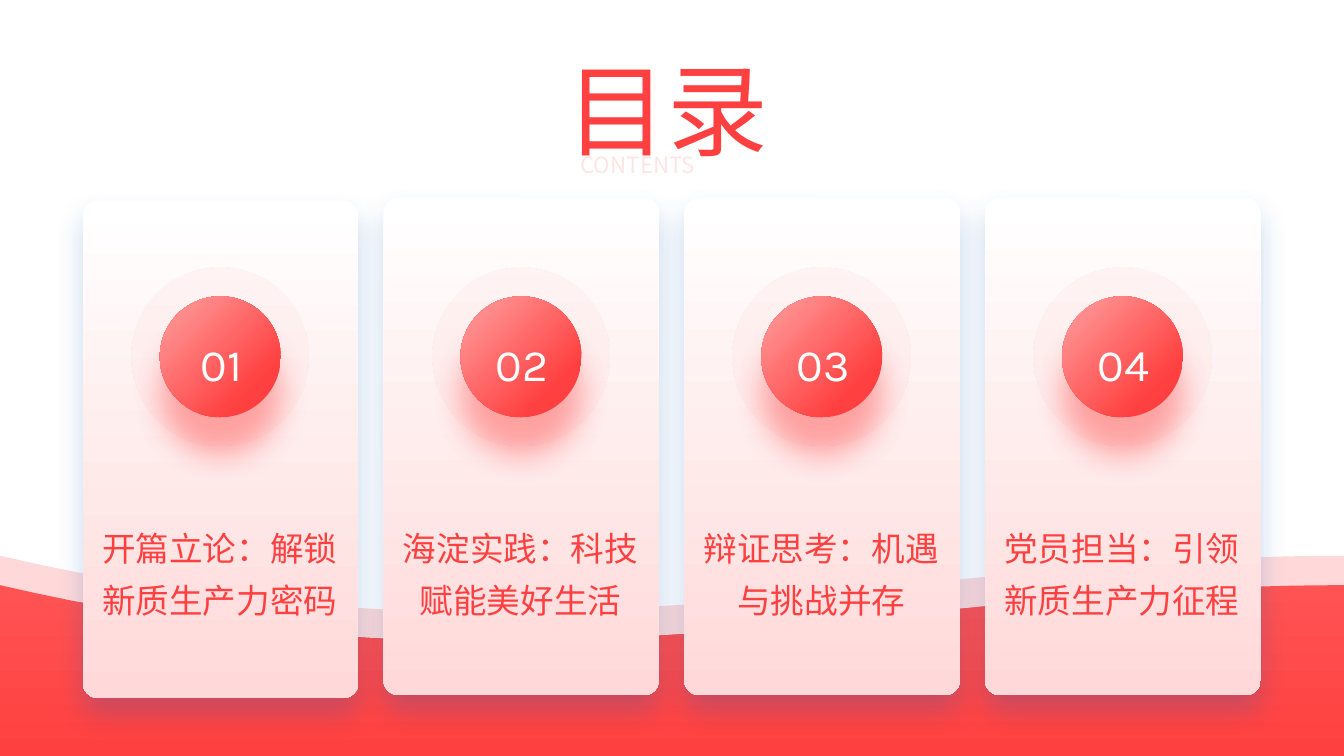
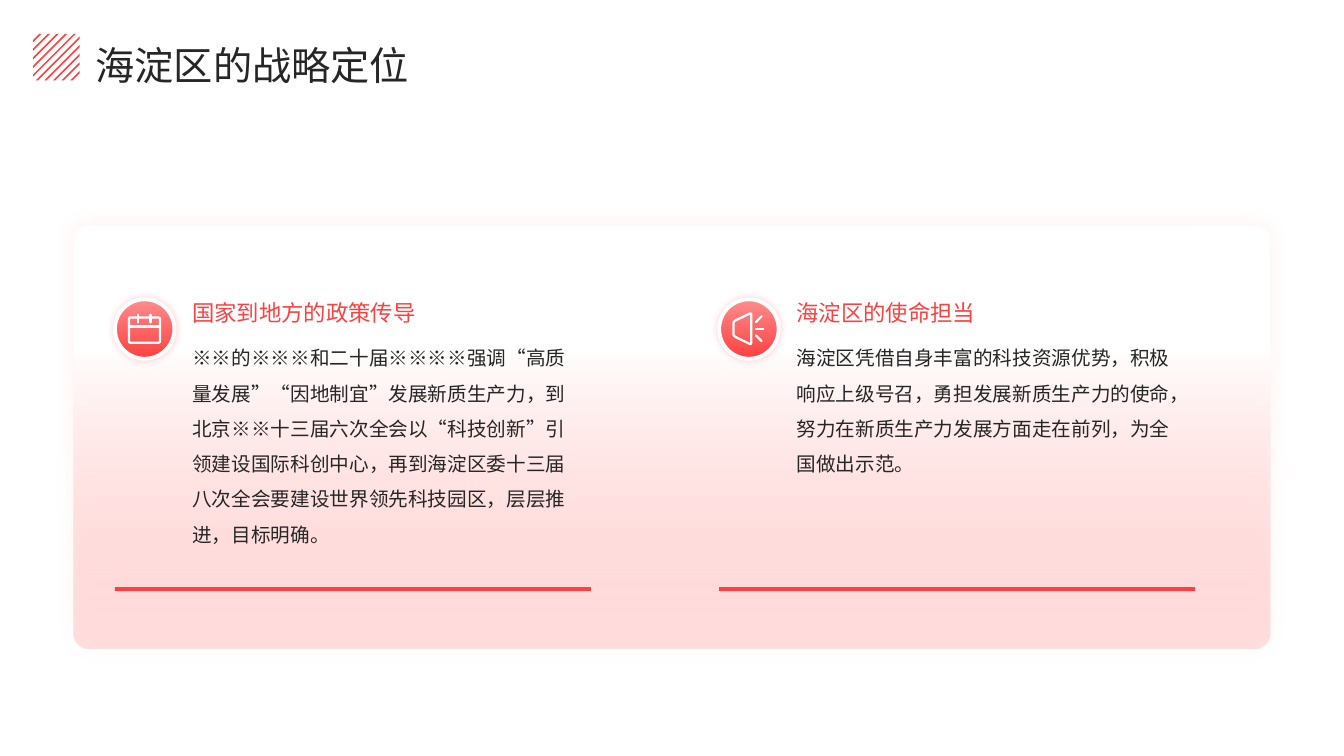
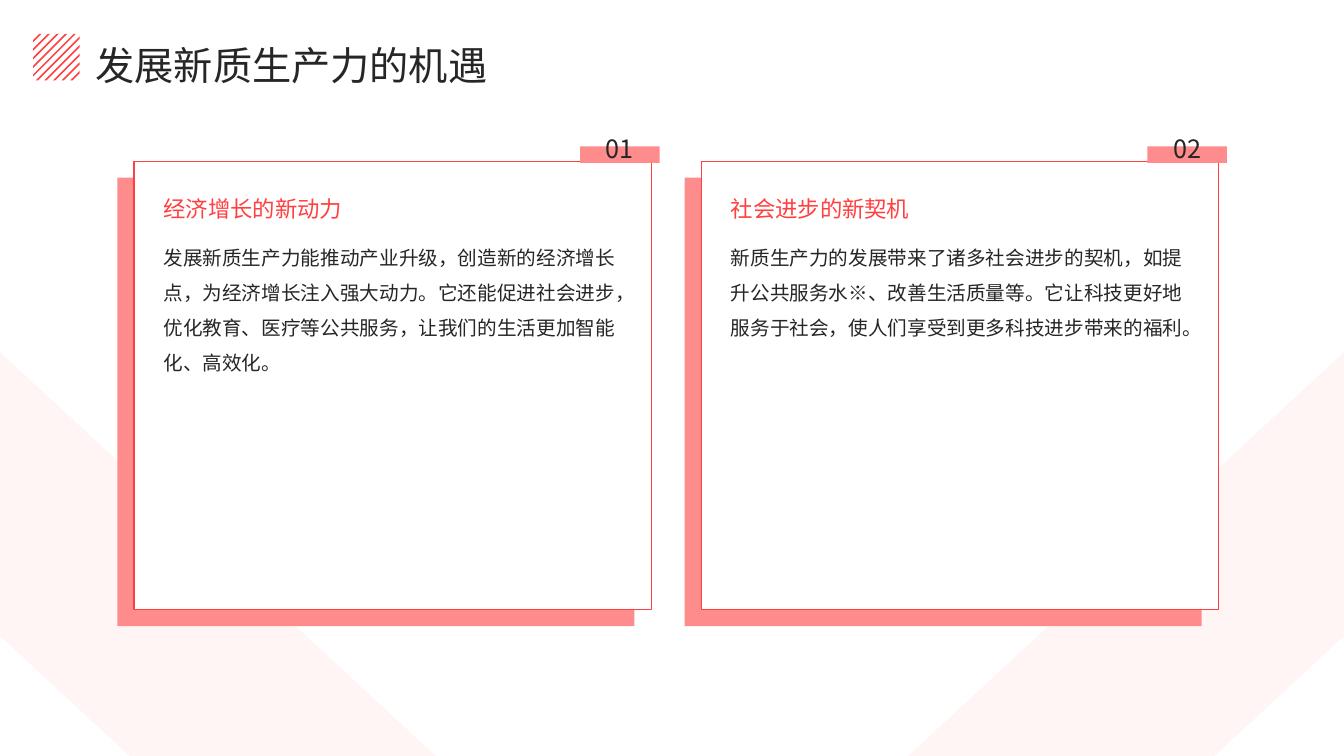
from lxml import etree
from pptx import Presentation
from pptx.dml.color import RGBColor
from pptx.enum import shapes as kinds, text as tx
from pptx.oxml import ns
from pptx.util import Pt

COLORS = {
    "red": "FF4040",
    "bright": "FF5353",
    "coral": "FF8C8C",
    "pink": "FFB3B3",
    "blush": "FFD9D9",
    "white": "FFFFFF",
    "ink": "262626",
    "blue": "095DBB",
    "deep": "EF0000",
}
SANS = "Noto Sans CJK SC"
DISPLAY = "Karla"
WIDTH, HEIGHT = 960, 540
LEFT, CENTER = tx.PP_ALIGN.LEFT, tx.PP_ALIGN.CENTER
TOP, MIDDLE = tx.MSO_ANCHOR.TOP, tx.MSO_ANCHOR.MIDDLE
SHAPE = kinds.MSO_SHAPE
BADGE_SIZE = 42.5


def add_xml(parent, tag, **attributes):
    values = {key: str(value) for key, value in attributes.items()}
    return etree.SubElement(parent, ns.qn("a:" + tag), values)


def add_color(parent, color, opacity=100):
    node = add_xml(parent, "srgbClr", val=COLORS[color])
    if opacity < 100:
        add_xml(node, "alpha", val=opacity * 1000)


def gradient(*stops, angle=90, focus=None):
    return {"stops": stops, "angle": angle, "focus": focus}


def fill_gradient(shape, grad):
    shape.fill.background()
    properties = shape._element.spPr
    node = etree.Element(ns.qn("a:gradFill"), {"rotWithShape": "1"})
    stops = add_xml(node, "gsLst")
    for position, *color in grad["stops"]:
        add_color(add_xml(stops, "gs", pos=position * 1000), *color)
    if grad["focus"]:
        circle = etree.SubElement(node, ns.qn("a:path"), {"path": "circle"})
        sides = {side: inset * 1000 for side, inset in zip("ltrb", grad["focus"])}
        add_xml(circle, "fillToRect", **sides)
    else:
        add_xml(node, "lin", ang=grad["angle"] * 60000, scaled=0)
    properties.replace(properties.find(ns.qn("a:noFill")), node)


def style(shape, fill=None, opacity=100, line=None, shadow=None):
    shape.shadow.inherit = False
    if fill is None:
        shape.fill.background()
    elif isinstance(fill, dict):
        fill_gradient(shape, fill)
    else:
        shape.fill.solid()
        shape.fill.fore_color.rgb = RGBColor.from_string(COLORS[fill])
        if opacity < 100:
            solid = shape._element.spPr.find(ns.qn("a:solidFill"))
            add_xml(solid[0], "alpha", val=opacity * 1000)
    if line:
        color, width = line
        shape.line.color.rgb = RGBColor.from_string(COLORS[color])
        shape.line.width = Pt(width)
    else:
        shape.line.fill.background()
    if shadow:
        color, strength, blur, distance = shadow
        effects = shape._element.spPr.find(ns.qn("a:effectLst"))
        cast = add_xml(effects, "outerShdw", blurRad=Pt(blur), dist=Pt(distance),
                       dir=5400000, algn="ctr", rotWithShape=0)
        add_color(cast, color, strength)
    return shape


def add_block(slide, kind, left, top, width, height, corner=None, **look):
    shape = slide.shapes.add_shape(kind, Pt(left), Pt(top), Pt(width), Pt(height))
    if corner:
        shape.adjustments[0] = corner
    return style(shape, **look)


def add_outline(slide, contours, origin=(0, 0), closed=True, **look):
    builder = None
    for contour in contours:
        points = [(Pt(origin[0] + x), Pt(origin[1] + y)) for x, y in contour]
        if builder is None:
            builder = slide.shapes.build_freeform(*points[0], scale=1.0)
        else:
            builder.move_to(*points[0])
        builder.add_line_segments(points[1:], close=closed)
    return style(builder.convert_to_shape(), **look)


def add_text(slide, content, left, top, width, height, size, color="ink", font=SANS,
             spacing=1.3, align=LEFT, anchor=TOP, padded=True, opacity=100):
    box = slide.shapes.add_textbox(Pt(left), Pt(top), Pt(width), Pt(height))
    frame = box.text_frame
    frame.word_wrap = True
    frame.vertical_anchor = anchor
    if not padded:
        frame.margin_left = frame.margin_right = 0
        frame.margin_top = frame.margin_bottom = 0
    paragraph = frame.paragraphs[0]
    paragraph.alignment = align
    paragraph.line_spacing = spacing
    run = paragraph.add_run()
    run.text = content
    run.font.size = Pt(size)
    run.font.color.rgb = RGBColor.from_string(COLORS[color])
    run.font.name = font
    properties = run.font._element
    add_xml(properties, "ea", typeface=font)
    if opacity < 100:
        solid = properties.find(ns.qn("a:solidFill"))
        add_xml(solid[0], "alpha", val=opacity * 1000)


def bezier(start, first, second, end, steps=48):
    points = []
    for step in range(steps + 1):
        t = step / steps
        weights = ((1 - t) ** 3, 3 * t * (1 - t) ** 2, 3 * t * t * (1 - t), t ** 3)
        corners = (start, first, second, end)
        points.append(tuple(sum(w * c[axis] for w, c in zip(weights, corners))
                            for axis in (0, 1)))
    return points


def toward(start, end, distance):
    dx, dy = end[0] - start[0], end[1] - start[1]
    share = distance / (dx * dx + dy * dy) ** 0.5
    return start[0] + dx * share, start[1] + dy * share


def rounded(corners, radius):
    points = []
    for index, corner in enumerate(corners):
        before, after = corners[index - 1], corners[(index + 1) % len(corners)]
        points += bezier(toward(corner, before, radius), corner, corner,
                         toward(corner, after, radius), 6)
    return points + points[:1]


def add_wave(slide, top, fill):
    crest = bezier((0, top), (386, top + 90), (640, top), (WIDTH, top))
    add_outline(slide, [crest + [(WIDTH, top + 122), (0, top + 122)]], fill=fill)


def add_contents_card(slide, left, top, number, topic):
    add_block(slide, SHAPE.ROUNDED_RECTANGLE, left, top, 197.3, 355.7, corner=0.058,
              fill=gradient((0, "white"), (100, "blush")), shadow=("blue", 21, 20, 11))
    add_text(slide, topic, left + 11, 323.3, 174, 165, 24, "red",
             align=CENTER, anchor=MIDDLE, padded=False)
    halo = add_block(slide, SHAPE.OVAL, left + 35, 191.5, 126.7, 126.7,
                     fill=gradient((53, "blush", 22), (100, "red", 10), focus=(50,) * 4))
    halo.rotation = 329
    add_block(slide, SHAPE.OVAL, left + 55.2, 211.7, 86.4, 86.4,
              fill=gradient((16, "coral"), (77, "red"), focus=(0, 0, 100, 100)),
              shadow=("red", 42, 22, 27))
    add_text(slide, number, left + 30.9, 190, 136.8, 127.4, 32, "white", DISPLAY,
             align=CENTER, anchor=MIDDLE, padded=False)


def add_title(slide, title):
    side, period, thickness = 33.2, 6.15, 1.6

    def diagonal(reach):
        near, far = max(0, reach - side), min(reach, side)
        return [(far, near), (near, far)]

    stripes = []
    for index in range(10):
        reach = 4.3 + index * period
        stripes.append(diagonal(reach) + diagonal(reach + thickness)[::-1])
    add_outline(slide, stripes, (23.7, 24.2), fill="red")
    add_text(slide, title, 68.4, 19.4, 817, 42.5, 28, padded=False)


def calendar_lines():
    page = rounded([(10, 13), (32.2, 13), (32.2, 31), (10, 31)], 2.2)
    pins = [[(x, 10.9), (x, 16.6)] for x in (16.7, 25.5)]
    return [page, [(10, 19.4), (32.2, 19.4)]] + pins


def megaphone_lines():
    horn = rounded([(10.2, 15.8), (23, 9.6), (23, 32.4), (10.2, 26.2)], 3)
    rays = [[(26.3, 21 + 4.8 * side), (30.4, 21 + 9 * side)] for side in (-1, 1)]
    return [horn, [(26.3, 21), (31.5, 21)]] + rays


def add_position(slide, left, heading, body, icon_lines):
    add_text(slide, body, left + 48.2, 235.4, 283.7, 177.8, 14, spacing=1.5)
    add_text(slide, heading, left + 48.2, 208.1, 283.7, 28.8, 16, "red", spacing=1.1)
    add_block(slide, SHAPE.RECTANGLE, left, 419.4, 340, 2.9, fill="red")
    badge_top = 213.8
    add_block(slide, SHAPE.FLOWCHART_CONNECTOR, left, badge_top, BADGE_SIZE, BADGE_SIZE,
              fill=gradient((0, "red"), (100, "coral"), angle=270),
              line=("white", 2.75), shadow=("coral", 40, 5, 0))
    icon = add_outline(slide, icon_lines, (left, badge_top), closed=False,
                       line=("white", 1.6))
    icon._element.spPr.find(ns.qn("a:ln")).set("cap", "rnd")


def add_opportunity(slide, left, number, heading, body):
    panel = (369.4, 320.4)
    add_block(slide, SHAPE.RECTANGLE, left, 126.9, *panel, fill="coral")
    add_block(slide, SHAPE.RECTANGLE, left + 12, 115.2, *panel,
              fill="white", line=("red", 1))
    add_text(slide, heading, left + 25.9, 125.3, 341.3, 41.8, 16, "red", anchor=MIDDLE)
    add_text(slide, body, left + 25.9, 163.4, 341.3, 260, 14, spacing=1.5)
    add_block(slide, SHAPE.RECTANGLE, left + 330.5, 104.6, 56.9, 11.7, fill="coral")
    add_text(slide, number, left + 333.4, 89.3, 51.1, 28.8, 18,
             spacing=1.1, align=CENTER)


def build_contents(slide):
    add_wave(slide, 397, "blush")
    add_wave(slide, 418, gradient((0, "bright"), (100, "red")))
    add_text(slide, "目录", 353, 25.2, 247, 79.2, 72, "red", DISPLAY,
             spacing=1.1, align=CENTER, padded=False)
    topics = [
        "开篇立论：解锁新质生产力密码",
        "海淀实践：科技赋能美好生活",
        "辩证思考：机遇与挑战并存",
        "党员担当：引领新质生产力征程",
    ]
    for index, topic in enumerate(topics):
        top = 141.1 if index else 143.1
        add_contents_card(slide, 59 + index * 214.8, top, f"{index + 1:02}", topic)
    add_text(slide, "CONTENTS", 407.5, 103, 145.4, 26.6, 16, "deep", spacing=1.1,
             align=tx.PP_ALIGN.JUSTIFY, anchor=MIDDLE, opacity=9)


def build_positioning(slide):
    add_block(slide, SHAPE.ROUNDED_RECTANGLE, 52.4, 161.1, 855, 302, corner=0.038,
              fill=gradient((29, "white"), (100, "pink", 40)), shadow=("red", 8, 15, 0))
    positions = [
        ("国家到地方的政策传导",
         "※※的※※※和二十届※※※※强调“高质量发展”“因地制宜”发展新质生产力，"
         "到北京※※十三届六次全会以“科技创新”引领建设国际科创中心，"
         "再到海淀区委十三届八次全会要建设世界领先科技园区，层层推进，目标明确。",
         calendar_lines()),
        ("海淀区的使命担当",
         "海淀区凭借自身丰富的科技资源优势，积极响应上级号召，勇担发展新质生产力的使命，"
         "努力在新质生产力发展方面走在前列，为全国做出示范。",
         megaphone_lines()),
    ]
    for index, position in enumerate(positions):
        add_position(slide, 82.1 + index * 431.6, *position)
    add_title(slide, "海淀区的战略定位")


def build_opportunities(slide):
    band = [(0, 251.5), (311.2, HEIGHT), (92.6, HEIGHT), (0, 454.3)]
    mirrored = [(WIDTH - x, y) for x, y in band]
    add_outline(slide, [mirrored, band], fill="pink", opacity=13)
    opportunities = [
        ("经济增长的新动力",
         "发展新质生产力能推动产业升级，创造新的经济增长点，为经济增长注入强大动力。"
         "它还能促进社会进步，优化教育、医疗等公共服务，让我们的生活更加智能化、高效化。"),
        ("社会进步的新契机",
         "新质生产力的发展带来了诸多社会进步的契机，如提升公共服务水※、改善生活质量等。"
         "它让科技更好地服务于社会，使人们享受到更多科技进步带来的福利。"),
    ]
    for index, opportunity in enumerate(opportunities):
        add_opportunity(slide, 83.8 + index * 405.2, f"{index + 1:02}", *opportunity)
    add_title(slide, "发展新质生产力的机遇")


def main():
    deck = Presentation()
    deck.slide_width, deck.slide_height = Pt(WIDTH), Pt(HEIGHT)
    for build in (build_contents, build_positioning, build_opportunities):
        build(deck.slides.add_slide(deck.slide_layouts[6]))
    deck.save("out.pptx")


if __name__ == "__main__":
    main()
